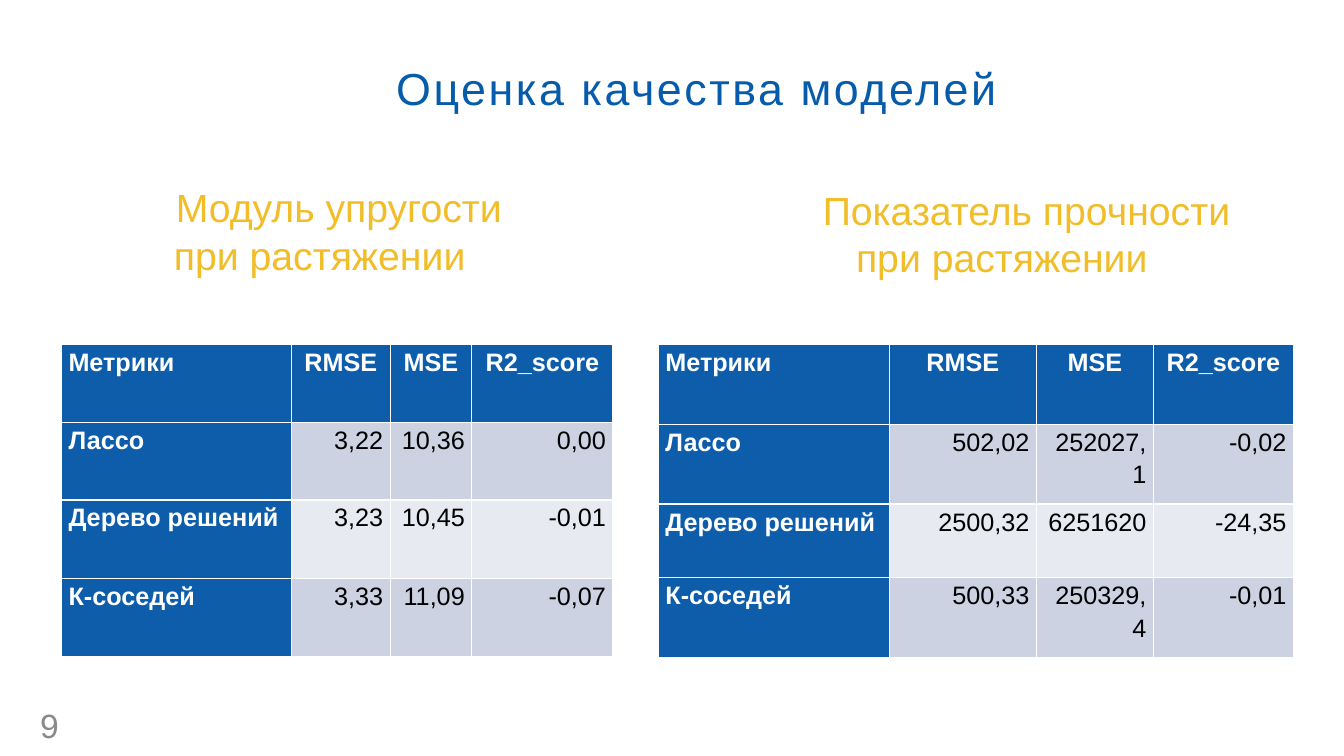
from dataclasses import dataclass

from lxml.etree import SubElement
from pptx import Presentation
from pptx.dml.color import RGBColor
from pptx.enum.shapes import MSO_SHAPE
from pptx.enum.text import MSO_ANCHOR, PP_ALIGN
from pptx.oxml.ns import qn
from pptx.util import Inches, Pt


@dataclass(frozen=True)
class Theme:
    font: str = "Arial"
    white: str = "FFFFFF"
    black: str = "000000"
    title: str = "065CAB"
    heading: str = "F1BE29"
    header: str = "0E5DAB"
    bands: tuple = ("CCD2E2", "E7EAF1")
    page: str = "898989"
    title_size: int = 32
    heading_size: int = 28
    page_size: int = 24
    cell_size: int = 18


THEME = Theme()

HEADER = ("Метрики", "RMSE", "MSE", "R2_score")
ELASTICITY = (
    HEADER,
    ("Лассо", "3,22", "10,36", "0,00"),
    ("Дерево решений", "3,23", "10,45", "-0,01"),
    ("К-соседей", "3,33", "11,09", "-0,07"),
)
STRENGTH = (
    HEADER,
    ("Лассо", "502,02", "252027,1", "-0,02"),
    ("Дерево решений", "2500,32", "6251620", "-24,35"),
    ("К-соседей", "500,33", "250329,4", "-0,01"),
)


def set_attributes(obj, values):
    for name, value in values.items():
        setattr(obj, name, value)


def write(tf, text, size, color, bold=False, **paragraph_format):
    """Put text in the frame's first paragraph; a newline is a line break."""
    p = tf.paragraphs[0]
    p.text = text.replace("\n", "\v")
    set_attributes(p, paragraph_format)
    for r in p.runs:
        set_attributes(r.font, {"name": THEME.font, "size": Pt(size), "bold": bold})
        r.font.color.rgb = RGBColor.from_string(color)
    return p


def fill_solid(obj, color):
    obj.fill.solid()
    obj.fill.fore_color.rgb = RGBColor.from_string(color)


def add_text(slide, box, text, size, color, anchor=MSO_ANCHOR.TOP, **paragraph_format):
    tf = slide.shapes.add_textbox(*map(Inches, box)).text_frame
    set_attributes(tf, {"word_wrap": True, "vertical_anchor": anchor})
    return write(tf, text, size, color, **paragraph_format)


def add_heading(slide, box, text, anchor=MSO_ANCHOR.TOP, **paragraph_format):
    p = add_text(slide, box, text, THEME.heading_size, THEME.heading, anchor,
                 alignment=PP_ALIGN.CENTER, **paragraph_format)
    p._p.get_or_add_pPr().set("indent", str(Inches(0.49)))


def add_title(slide, box, text):
    sp = slide.shapes.add_shape(MSO_SHAPE.RECTANGLE, *map(Inches, box))
    sp.shadow.inherit = False
    fill_solid(sp, THEME.white)
    sp.line.color.rgb = RGBColor.from_string(THEME.white)
    sp.line.width = Pt(2)
    p = write(sp.text_frame, text, THEME.title_size, THEME.title,
              alignment=PP_ALIGN.CENTER)
    rPr = p.runs[0].font._element
    rPr.set("spc", "180")
    outline = SubElement(rPr, qn("a:ln"), w=str(Pt(0.75)))
    SubElement(SubElement(outline, qn("a:solidFill")), qn("a:srgbClr"), val=THEME.title)
    rPr.insert(0, outline)


def fill_cell(cell, text, row, col):
    is_label = row == 0 or col == 0
    if col == 0:
        align = PP_ALIGN.LEFT
    else:
        align = PP_ALIGN.CENTER if row == 0 else PP_ALIGN.RIGHT
    set_attributes(cell, {
        "margin_left": Inches(0.07), "margin_right": Inches(0.07),
        "margin_top": 0, "margin_bottom": 0,
    })
    fill_solid(cell, THEME.header if is_label else THEME.bands[(row - 1) % 2])
    write(cell.text_frame, text, THEME.cell_size,
          THEME.white if is_label else THEME.black, is_label,
          alignment=align, line_spacing=1.15)


def add_metrics_table(slide, left, top, widths, heights, rows):
    """The default table style supplies the white grid and header rule."""
    table = slide.shapes.add_table(
        len(heights), len(widths), Inches(left), Inches(top),
        Inches(sum(widths)), Inches(sum(heights))).table
    table.first_col = True
    for column, width in zip(table.columns, widths):
        column.width = Inches(width)
    for i, (height, texts) in enumerate(zip(heights, rows)):
        table.rows[i].height = Inches(height)
        for j, text in enumerate(texts):
            fill_cell(table.cell(i, j), text, i, j)


def main():
    prs = Presentation()
    prs.slide_width, prs.slide_height = Inches(13.33), Inches(7.5)
    slide = prs.slides.add_slide(prs.slide_layouts[6])

    add_text(slide, (0.3, 7.04, 0.62, 0.3), "9", THEME.page_size, THEME.page,
             MSO_ANCHOR.MIDDLE)
    add_metrics_table(slide, 0.61, 3.42, (2.28, 0.98, 0.81, 1.4),
                      (0.77, 0.77, 0.78, 0.77), ELASTICITY)
    add_heading(slide, (0.04, 1.77, 6.26, 1.04),
                "Модуль упругости \nпри растяжении", MSO_ANCHOR.MIDDLE)
    add_metrics_table(slide, 6.53, 3.42, (2.29, 1.46, 1.16, 1.39),
                      (0.79, 0.79, 0.73, 0.79), STRENGTH)
    add_heading(slide, (6.53, 1.8, 6.81, 1.04),
                "Показатель прочности\nпри растяжении", space_after=Pt(10))
    add_title(slide, (3.17, 0.5, 7.63, 0.73), "Оценка качества моделей ")

    prs.save("out.pptx")


if __name__ == "__main__":
    main()
